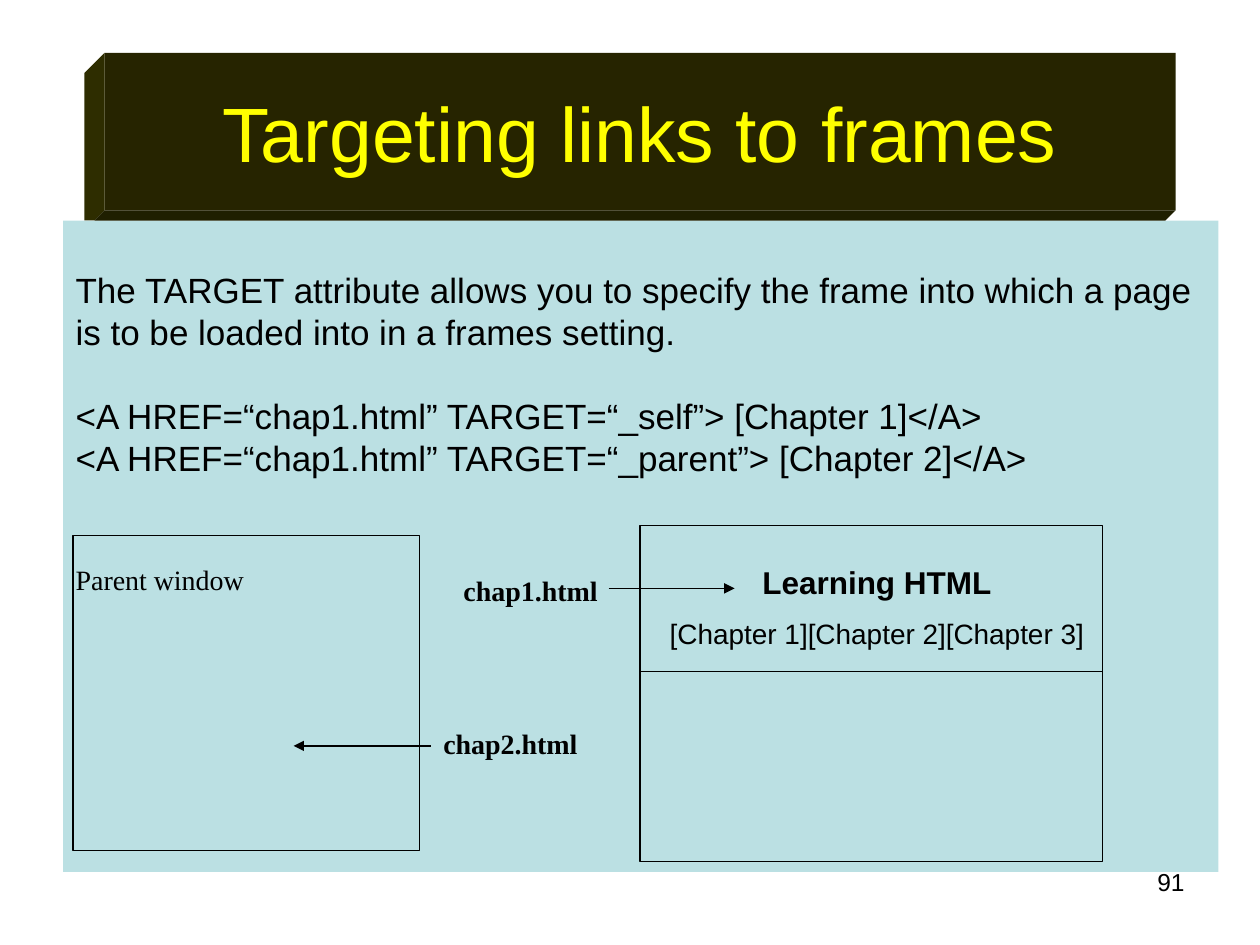
from dataclasses import dataclass

from lxml.etree import SubElement
from pptx import Presentation
from pptx.dml.color import RGBColor
from pptx.enum.shapes import MSO_CONNECTOR, MSO_SHAPE
from pptx.enum.text import MSO_ANCHOR, MSO_AUTO_SIZE, PP_ALIGN
from pptx.oxml.ns import qn
from pptx.util import Inches, Pt


@dataclass(frozen=True)
class Theme:
    ink: RGBColor = RGBColor.from_string("000000")
    title_text: RGBColor = RGBColor.from_string("FFFF00")
    title_face: RGBColor = RGBColor.from_string("262400")
    title_side: RGBColor = RGBColor.from_string("2E2D00")
    title_base: RGBColor = RGBColor.from_string("1F1F00")
    panel: RGBColor = RGBColor.from_string("BBE0E3")
    sans: str = "Arial"
    serif: str = "Times New Roman"
    title_size: int = 44
    body_size: int = 20
    heading_size: int = 18
    label_size: int = 16
    number_size: int = 14
    line: float = 0.75


theme = Theme()


def write(tf, text, size=theme.label_size, font=theme.sans, color=theme.ink,
          bold=False, align=PP_ALIGN.LEFT, before=0, spacing=None):
    """Write text into the frame's empty first paragraph, or a new one."""
    tf.word_wrap = True
    p = tf.paragraphs[0] if not tf.text else tf.add_paragraph()
    pPr = p._p.get_or_add_pPr()
    pPr.set("marL", "0")
    pPr.set("indent", "0")
    SubElement(pPr, qn("a:buNone"))
    p.alignment = align
    p.space_before = Pt(before)
    if spacing:
        p.line_spacing = Pt(spacing)
    r = p.add_run()
    r.text = text
    r.font.name, r.font.size = font, Pt(size)
    r.font.bold, r.font.color.rgb = bold, color


def add_line(x1, y1, x2, y2, arrow=False):
    c = s.shapes.add_connector(MSO_CONNECTOR.STRAIGHT, Inches(x1), Inches(y1),
                               Inches(x2), Inches(y2))
    c.line.color.rgb = theme.ink
    c.line.width = Pt(theme.line)
    if arrow:
        SubElement(c.line._get_or_add_ln(), qn("a:tailEnd"), type="triangle")
    SubElement(c._element.spPr, qn("a:effectLst"))


prs = Presentation()
prs.slide_width, prs.slide_height = Inches(10), Inches(7.5)
s = prs.slides.add_slide(prs.slide_layouts[1])
title, body = s.shapes.title, s.placeholders[1]

# Title and body panels
for sp, fill, (x, y, w, h) in (
    (title, theme.title_face, (0.83, 0.42, 8.5, 1.25)),
    (body, theme.panel, (0.5, 1.75, 9.17, 5.17)),
):
    sp.left, sp.top, sp.width, sp.height = map(Inches, (x, y, w, h))
    sp.fill.solid()
    sp.fill.fore_color.rgb = fill
    sp.text_frame.auto_size = MSO_AUTO_SIZE.NONE

title.text_frame.vertical_anchor = MSO_ANCHOR.MIDDLE
write(title.text_frame, "Targeting links to frames", size=theme.title_size,
      color=theme.title_text, align=PP_ALIGN.CENTER)

# Depth of the title block, left and below
for color, points in (
    (theme.title_side, ((0.83, 0.42), (0.67, 0.58), (0.67, 1.75), (0.75, 1.75), (0.83, 1.67))),
    (theme.title_base, ((0.83, 1.67), (0.75, 1.75), (9.25, 1.75), (9.33, 1.67))),
):
    corners = [(Inches(x), Inches(y)) for x, y in points]
    builder = s.shapes.build_freeform(*corners[0])
    builder.add_line_segments(corners[1:], close=True)
    sp = builder.convert_to_shape()
    sp.shadow.inherit = False
    sp.fill.solid()
    sp.fill.fore_color.rgb = color
    sp.line.fill.background()

# Body text
tf = body.text_frame
tf.vertical_anchor = MSO_ANCHOR.TOP
tf.margin_top = Inches(0.38)
for text, before in (
    ("The TARGET attribute allows you to specify the frame into which a page "
     "is to be loaded into in a frames setting.", 0),
    ("<A HREF=“chap1.html” TARGET=“_self”> [Chapter 1]</A>", 24),
    ("<A HREF=“chap1.html” TARGET=“_parent”> [Chapter 2]</A>", 0),
):
    write(tf, text, size=theme.body_size, before=before, spacing=24)
write(tf, "Parent window", font=theme.serif, before=43, spacing=24)

# Window outlines: parent window and frameset
for box in ((0.58, 4.25, 2.75, 2.5), (5.08, 4.17, 3.67, 2.67)):
    sp = s.shapes.add_shape(MSO_SHAPE.RECTANGLE, *map(Inches, box))
    sp.shadow.inherit = False
    sp.fill.background()
    sp.line.color.rgb = theme.ink
    sp.line.width = Pt(theme.line)

# Frame divider, then arrows from the file names
add_line(5.08, 5.33, 8.75, 5.33)
add_line(4.83, 4.67, 5.83, 4.67, arrow=True)
add_line(3.42, 5.92, 2.33, 5.92, arrow=True)

# Frame heading, file names and slide number
heading = dict(size=theme.heading_size, bold=True, align=PP_ALIGN.CENTER)
chapters = dict(align=PP_ALIGN.CENTER, before=9)
file_name = dict(font=theme.serif, bold=True)
number = dict(size=theme.number_size, align=PP_ALIGN.RIGHT)
for box, lines in (
    ((5.17, 4.42, 3.58, 0.8), (("Learning HTML", heading),
                               ("[Chapter 1][Chapter 2][Chapter 3]", chapters))),
    ((3.58, 4.5, 1.42, 0.37), (("chap1.html", file_name),)),
    ((3.42, 5.72, 1.42, 0.37), (("chap2.html", file_name),)),
    ((7.17, 6.83, 2.33, 0.52), (("91", number),)),
):
    tf = s.shapes.add_textbox(*map(Inches, box)).text_frame
    for text, style in lines:
        write(tf, text, **style)

prs.save("out.pptx")
